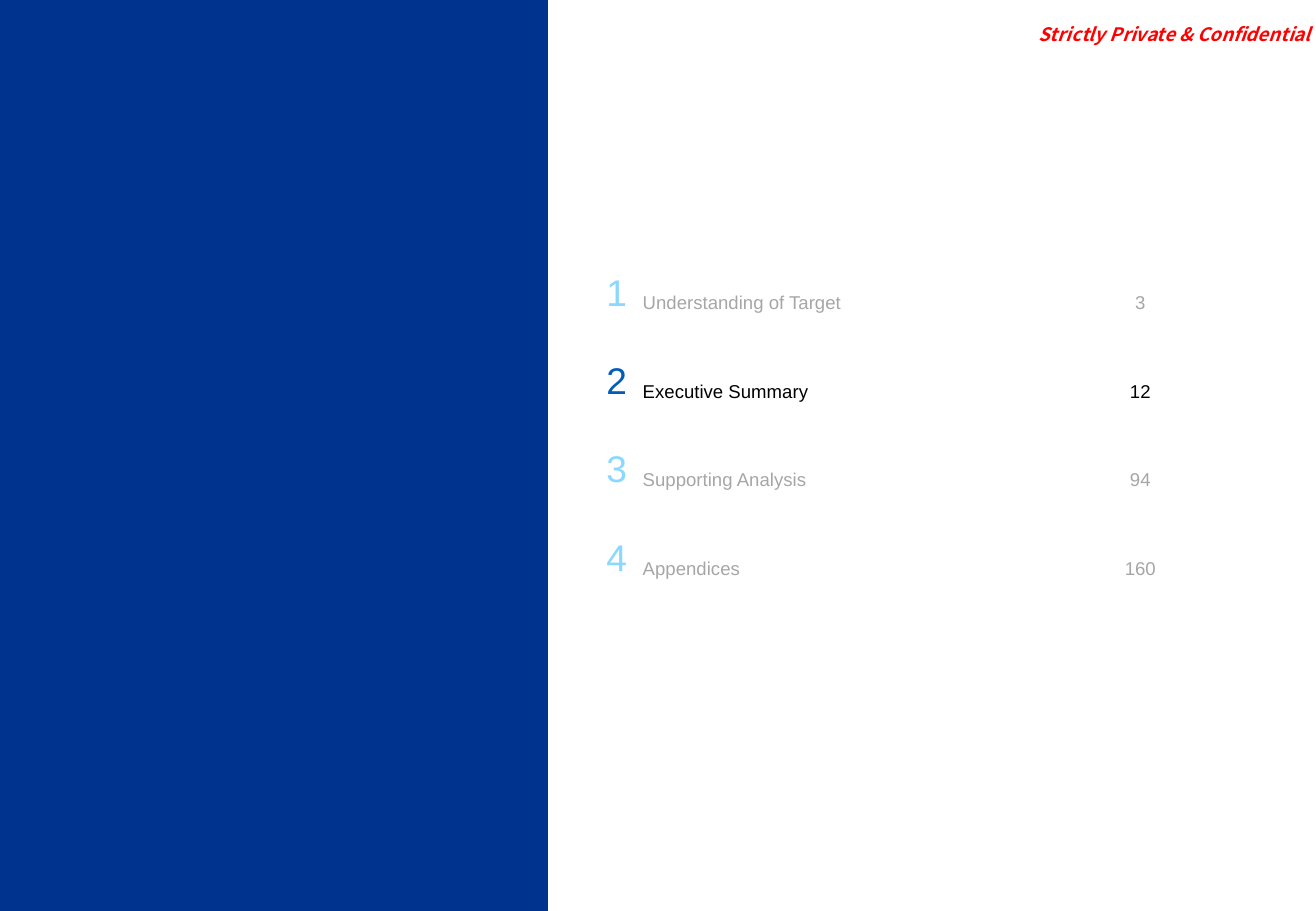
from pptx import Presentation
from pptx.util import Pt
from pptx.dml.color import RGBColor
from pptx.enum.shapes import MSO_SHAPE as SHAPE
from pptx.enum.text import PP_ALIGN as ALIGN, MSO_ANCHOR as ANCHOR

WIDTH, HEIGHT = 779.76, 540
PANEL_WIDTH = 324.72
NAVY, BLUE, SKY = "00338D", "005EB8", "8AD8FF"
BLACK, GREY, RED = "000000", "A6A6A6", "FF0000"


def rgb(value):
    return RGBColor.from_string(value)


class SlideBuilder:
    font = "Arial"
    text_size = 11
    number_size = 22

    def __init__(self, slide):
        self.slide = slide

    def set_text(self, p, text, size, color, align, font=None):
        p.text = text
        p.alignment = align
        r = p.runs[0]
        r.font.name = font or self.font
        r.font.size = Pt(size)
        r.font.color.rgb = rgb(color)
        return r

    def set_margins(self, target, margins):
        (target.margin_left, target.margin_top,
         target.margin_right, target.margin_bottom) = map(Pt, margins)

    def panel(self, x, y, w, h, color):
        sp = self.slide.shapes.add_shape(SHAPE.RECTANGLE, Pt(x), Pt(y), Pt(w), Pt(h))
        sp.shadow.inherit = False
        sp.fill.solid()
        sp.fill.fore_color.rgb = rgb(color)
        sp.line.fill.background()

    def marking(self, x, y, w, h, text, color, font):
        tf = self.slide.shapes.add_textbox(Pt(x), Pt(y), Pt(w), Pt(h)).text_frame
        tf.word_wrap = True
        tf.vertical_anchor = ANCHOR.BOTTOM
        self.set_margins(tf, (0, 2.88, 2.88, 15.7))
        r = self.set_text(tf.paragraphs[0], text, self.text_size, color, ALIGN.RIGHT, font)
        r.font.bold = r.font.italic = True

    def contents(self, x, y, col_widths, row_height, sections, current):
        frame = self.slide.shapes.add_table(
            len(sections), len(col_widths), Pt(x), Pt(y),
            Pt(sum(col_widths)), Pt(row_height * len(sections)))
        table = frame.table
        table.first_row = table.horz_banding = False
        for column, width in zip(table.columns, col_widths):
            column.width = Pt(width)
        for number, (row, (title, page)) in enumerate(zip(table.rows, sections), 1):
            row.height = Pt(row_height)
            number_color, text_color = (BLUE, BLACK) if number == current else (SKY, GREY)
            entries = [
                (str(number), self.number_size, number_color, ALIGN.RIGHT, (6.5, 3.6, 6.5, 3.6)),
                (title, self.text_size, text_color, ALIGN.LEFT, (2.88, 15.84, 0, 3.6)),
                (page, self.text_size, text_color, ALIGN.CENTER, (6.5, 15.84, 6.5, 3.6)),
            ]
            for cell, (text, size, color, align, margins) in zip(row.cells, entries):
                cell.fill.background()
                cell.vertical_anchor = ANCHOR.MIDDLE
                self.set_margins(cell, margins)
                self.set_text(cell.text_frame.paragraphs[0], text, size, color, align)


def main():
    prs = Presentation()
    prs.slide_width, prs.slide_height = Pt(WIDTH), Pt(HEIGHT)
    s = SlideBuilder(prs.slides.add_slide(prs.slide_layouts[6]))

    # Left colour panel
    s.panel(0, 0, PANEL_WIDTH, HEIGHT, NAVY)

    # Confidentiality marking in the top right corner
    s.marking(WIDTH - 195.12, 0, 195.12, 39.6,
              "Strictly Private & Confidential", RED, "Noto Sans CJK KR")

    # Table of contents with the current section highlighted
    sections = [
        ("Understanding of Target", "3"),
        ("Executive Summary", "12"),
        ("Supporting Analysis", "94"),
        ("Appendices", "160"),
    ]
    s.contents(340.56, 147.6, (37.44, 280.08, 35.28), 52.4, sections, current=2)

    prs.save("out.pptx")


if __name__ == "__main__":
    main()
